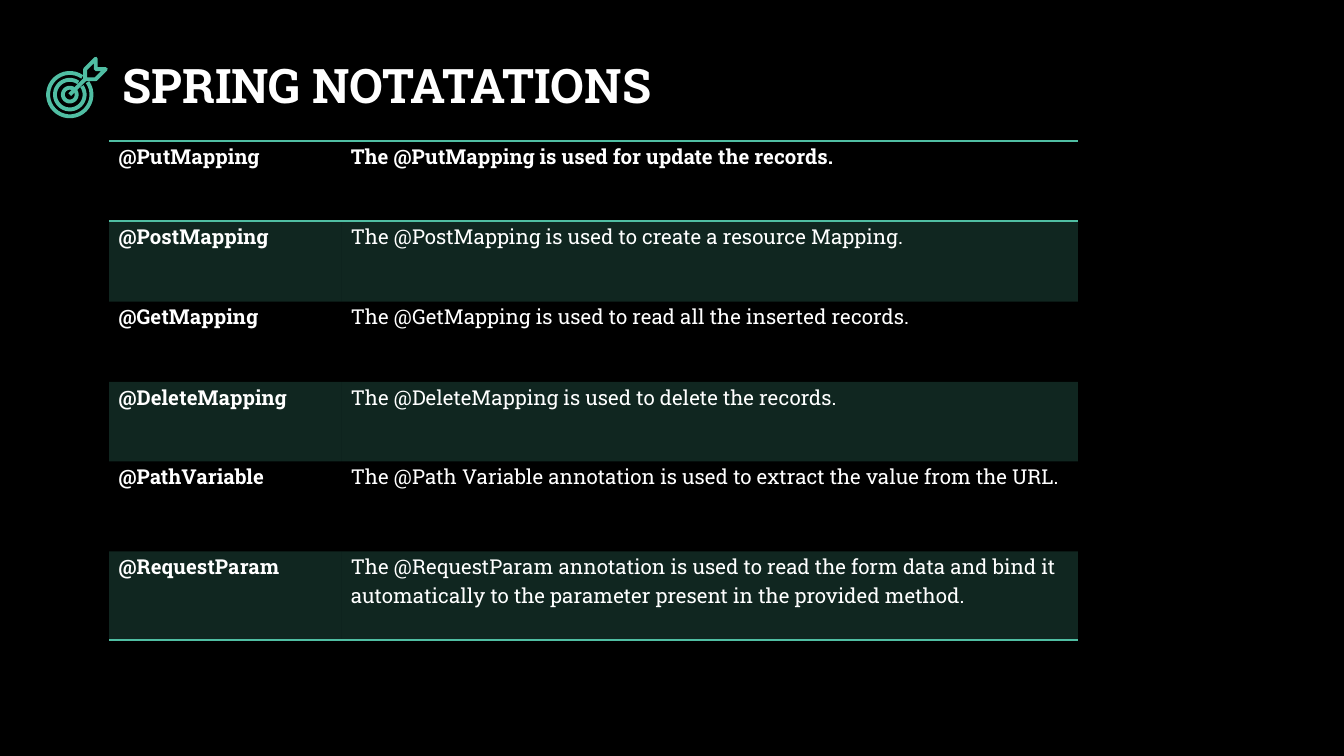
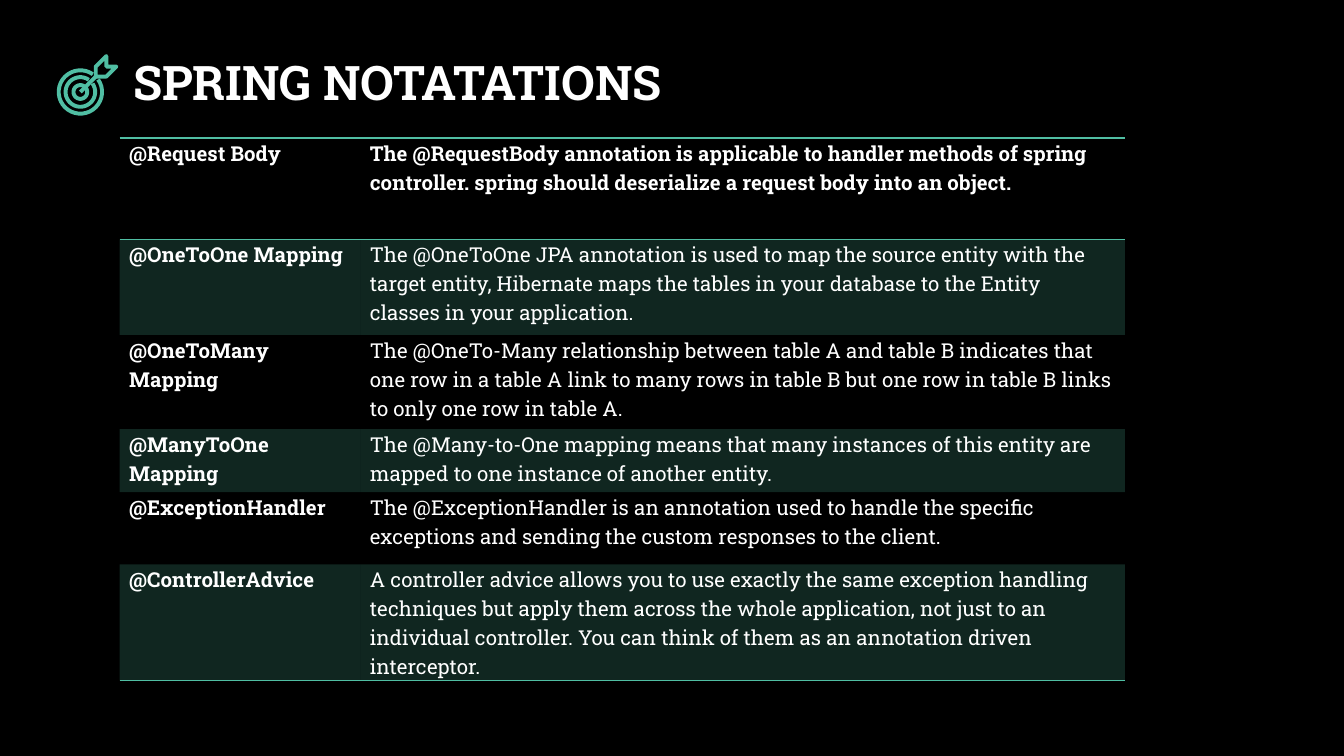
"""Build two slides that list Spring annotations in banded tables."""
from dataclasses import dataclass
from math import cos, radians, sin

from lxml.etree import SubElement
from pptx import Presentation
from pptx.dml.color import RGBColor
from pptx.enum.text import MSO_ANCHOR, MSO_AUTO_SIZE, PP_ALIGN
from pptx.oxml import parse_xml
from pptx.oxml.ns import nsdecls, qn
from pptx.util import Cm, Pt


@dataclass(frozen=True)
class Theme:
    font: str = "Roboto Slab"
    background: str = "000000"
    text: str = "FFFFFF"
    accent: str = "50BEA3"
    band_alpha: int = 20000
    title_size: float = 25.5
    cell_size: float = 11
    rule_width: float = 1
    icon_width: float = 2.1
    table_style: str = "{2D5ABB26-0587-4C30-8999-92F81FD0307C}"


theme = Theme()
accent = RGBColor.from_string(theme.accent)


def write_text(frame, text, *, size, bold, line_spacing, space_after=0):
    paragraph = frame.paragraphs[0]
    paragraph.alignment = PP_ALIGN.LEFT
    paragraph.line_spacing = line_spacing
    paragraph.space_after = Pt(space_after)
    span = paragraph.add_run()
    span.text = text
    span.font.name = theme.font
    span.font.size = Pt(size)
    span.font.bold = bold
    span.font.color.rgb = RGBColor.from_string(theme.text)


def add_rule(cell, side):
    cell._tc.get_or_add_tcPr().append(parse_xml(
        f'<a:{side} {nsdecls("a")} w="{Pt(theme.rule_width)}"><a:solidFill>'
        f'<a:srgbClr val="{theme.accent}"/></a:solidFill></a:{side}>'))


title_text = "SPRING NOTATATIONS"
pages = [
    {
        "left": 2.06, "top": 0.86, "columns": [4.39, 13.92],
        "rows": [
            (1.52, "@PutMapping", "The @PutMapping is used for update the records."),
            (1.52, "@PostMapping", "The @PostMapping is used to create a resource Mapping."),
            (1.52, "@GetMapping", "The @GetMapping is used to read all the inserted records."),
            (1.5, "@DeleteMapping", "The @DeleteMapping is used to delete the records."),
            (1.7, "@PathVariable",
             "The @Path Variable annotation is used to extract the value from the URL."),
            (1.68, "@RequestParam",
             "The @RequestParam annotation is used to read the form data and bind it "
             "automatically to the parameter present in the provided method."),
        ],
    },
    {
        "left": 2.26, "top": 0.81, "columns": [4.55, 14.45],
        "rows": [
            (1.92, "@Request Body",
             "The @RequestBody annotation is applicable to handler methods of spring "
             "controller. spring should deserialize a request body into an object."),
            (1.8, "@OneToOne Mapping",
             "The @OneToOne JPA annotation is used to map the source entity with the "
             "target entity, Hibernate maps the tables in your database to the Entity "
             "classes in your application."),
            (1.78, "@OneToMany Mapping",
             "The @OneTo-Many relationship between table A and table B indicates that "
             "one row in a table A link to many rows in table B but one row in table B "
             "links to only one row in table A."),
            (1.19, "@ManyToOne Mapping",
             "The @Many-to-One mapping means that many instances of this entity are "
             "mapped to one instance of another entity."),
            (1.37, "@ExceptionHandler",
             "The @ExceptionHandler is an annotation used to handle the specific "
             "exceptions and sending the custom responses to the client."),
            (2.18, "@ControllerAdvice",
             "A controller advice allows you to use exactly the same exception handling "
             "techniques but apply them across the whole application, not just to an "
             "individual controller. You can think of them as an annotation driven "
             "interceptor."),
        ],
    },
]

ring_radii = [0.41, 0.28, 0.13]
shaft = [(0, 0), (0.29, -0.29)]
arrow_tail = [(0.29, -0.29), (0.29, -0.48), (0.49, -0.68), (0.49, -0.48),
              (0.68, -0.48), (0.49, -0.29), (0.29, -0.29)]
rings = [[(radius * cos(radians(angle)), -radius * sin(radians(angle)))
          for angle in range(55, 396, 10)] for radius in ring_radii]

deck = Presentation()
deck.slide_width, deck.slide_height = Cm(25.4), Cm(14.29)
background = deck.slide_master.background.fill
background.solid()
background.fore_color.rgb = RGBColor.from_string(theme.background)

for content in pages:
    left, top, rows = content["left"], content["top"], content["rows"]
    page = deck.slides.add_slide(deck.slide_layouts[5])

    title = page.shapes.title
    title.left, title.top, title.width, title.height = Cm(left), Cm(top), Cm(21.41), Cm(1.6)
    title.text_frame.auto_size = MSO_AUTO_SIZE.NONE
    title.text_frame.word_wrap = True
    title.text_frame.vertical_anchor = MSO_ANCHOR.MIDDLE
    write_text(title.text_frame, title_text, size=theme.title_size, bold=True, line_spacing=0.9)

    table = page.shapes.add_table(
        len(rows), 2, Cm(left), Cm(top + 1.8),
        Cm(sum(content["columns"])), Cm(sum(row[0] for row in rows))).table
    table._tbl.tblPr.find(qn("a:tableStyleId")).text = theme.table_style
    for column, width in zip(table.columns, content["columns"]):
        column.width = Cm(width)
    for row_index, (height, *texts) in enumerate(rows):
        table.rows[row_index].height = Cm(height)
        for column_index, text in enumerate(texts):
            cell = table.cell(row_index, column_index)
            cell.margin_left = cell.margin_right = Cm(0.18)
            cell.margin_top = cell.margin_bottom = 0
            write_text(cell.text_frame, text, size=theme.cell_size,
                       bold=row_index == 0 or column_index == 0,
                       line_spacing=1.07, space_after=8)
            if row_index == 0:
                add_rule(cell, "lnT")
            if row_index in (0, len(rows) - 1):
                add_rule(cell, "lnB")
            if row_index % 2:
                cell.fill.solid()
                cell.fill.fore_color.rgb = accent
                color = cell._tc.tcPr.find(qn("a:solidFill")).find(qn("a:srgbClr"))
                SubElement(color, qn("a:alpha")).set("val", str(theme.band_alpha))
            else:
                cell.fill.background()

    strokes = [[(Cm(left - 0.74 + x), Cm(top + 0.93 + y)) for x, y in stroke]
               for stroke in [*rings, shaft, arrow_tail]]
    builder = page.shapes.build_freeform(*strokes[0][0])
    for stroke in strokes:
        builder.move_to(*stroke[0])
        builder.add_line_segments(stroke[1:], close=stroke[0] == stroke[-1])
    target = builder.convert_to_shape()
    target.shadow.inherit = False
    target.fill.background()
    target.line.color.rgb = accent
    target.line.width = Pt(theme.icon_width)

deck.save("out.pptx")
